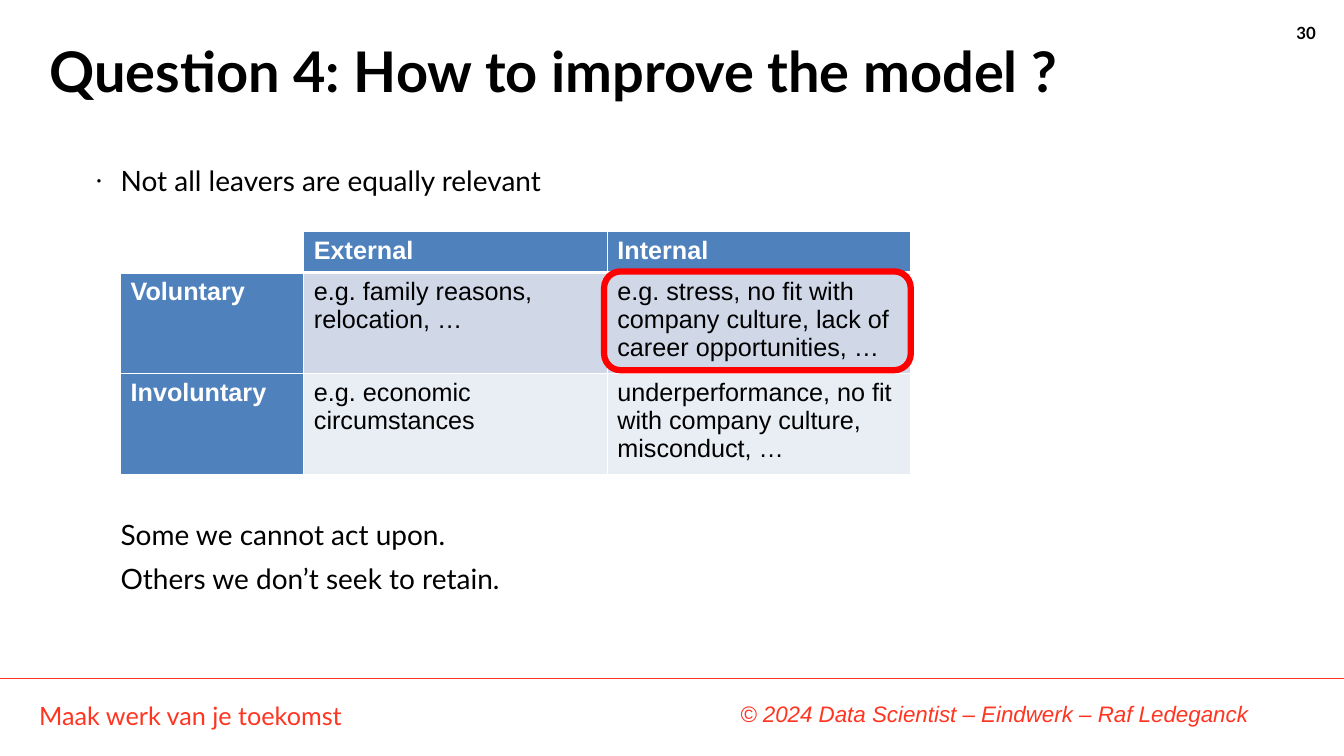
from dataclasses import dataclass

from lxml import etree
from pptx import Presentation
from pptx import util as u
from pptx.dml.color import RGBColor
from pptx.enum import shapes, text
from pptx.oxml import ns


@dataclass(frozen=True)
class Theme:
    heading_font: str = "Lato"
    table_font: str = "Arial"
    black: str = "000000"
    white: str = "FFFFFF"
    accent: str = "FF3521"
    highlight: str = "FF0000"
    header: str = "4F81BD"
    bands: tuple = ("D0D8E8", "E9EDF4")
    title_size: int = 40
    body_size: int = 20
    table_size: int = 18
    slogan_size: int = 18
    credit_size: int = 16
    number_size: int = 12


THEME = Theme()


@dataclass(frozen=True)
class Box:
    left: float
    top: float
    width: float
    height: float

    def lengths(self):
        return [u.Cm(value) for value in (self.left, self.top, self.width, self.height)]


def add_element(parent, tag, **attributes):
    element = etree.SubElement(parent, ns.qn(tag))
    for name, value in attributes.items():
        element.set(name, str(value))
    return element


def write(paragraph, words, size, font=THEME.heading_font, color=THEME.black,
          bold=False, italic=False, align=None, spacing=None, before=None):
    run = paragraph.add_run()
    run.text = words
    run.font.size = u.Pt(size)
    run.font.name = font
    run.font.bold = bold
    run.font.italic = italic
    run.font.color.rgb = RGBColor.from_string(color)
    paragraph.alignment = align
    paragraph.line_spacing = spacing
    if before is not None:
        paragraph.space_before = u.Pt(before)


def add_frame(slide, box):
    frame = slide.shapes.add_textbox(*box.lengths()).text_frame
    frame.word_wrap = True
    return frame


def add_label(slide, box, words, size, **style):
    write(add_frame(slide, box).paragraphs[0], words, size, **style)


def indent(paragraph, margin, hanging=0, bullet=None):
    properties = paragraph._p.get_or_add_pPr()
    properties.set("marL", str(u.Cm(margin)))
    properties.set("indent", str(-u.Cm(hanging)))
    if bullet is None:
        add_element(properties, "a:buNone")
        return
    color = add_element(properties, "a:buClr")
    add_element(color, "a:srgbClr", val=THEME.black)
    add_element(properties, "a:buSzPct", val=45000)
    add_element(properties, "a:buFont", typeface=THEME.table_font)
    add_element(properties, "a:buChar", char=bullet)


def add_body(slide, box):
    frame = add_frame(slide, box)
    statements = [
        ("Not all leavers are equally relevant", 10, 0.6, "•"),
        ("Some we cannot act upon.", 231, 0, None),
        ("Others we don’t seek to retain.", 10, 0, None),
    ]
    for index, (words, before, hanging, bullet) in enumerate(statements):
        paragraph = frame.add_paragraph() if index else frame.paragraphs[0]
        write(paragraph, words, THEME.body_size, spacing=0.9, before=before)
        indent(paragraph, 1.19, hanging, bullet)


def set_borders(cell, bottom):
    properties = cell._tc.get_or_add_tcPr()
    widths = {"a:lnL": 1, "a:lnR": 1, "a:lnT": 1, "a:lnB": bottom}
    for position, (tag, width) in enumerate(widths.items()):
        border = add_element(properties, tag, w=u.Pt(width))
        fill = add_element(border, "a:solidFill")
        add_element(fill, "a:srgbClr", val=THEME.white)
        properties.insert(position, border)


def add_leaver_table(slide, box):
    rows = [
        ("", "External", "Internal"),
        ("Voluntary", "e.g. family reasons, relocation, …",
         "e.g. stress, no fit with company culture, lack of career opportunities, …"),
        ("Involuntary", "e.g. economic circumstances",
         "underperformance, no fit with company culture, misconduct, …"),
    ]
    header_height, label_width = 1.04, 4.62
    row_height = (box.height - header_height) / 2
    column_width = (box.width - label_width) / 2
    table = slide.shapes.add_table(3, 3, *box.lengths()).table
    for column, width in zip(table.columns, (label_width, column_width, column_width)):
        column.width = u.Cm(width)
    for row, height in zip(table.rows, (header_height, row_height, row_height)):
        row.height = u.Cm(height)
    for row_index, row in enumerate(rows):
        for column_index, words in enumerate(row):
            cell = table.cell(row_index, column_index)
            is_header = row_index == 0 or column_index == 0
            if words:
                cell.fill.solid()
                color = THEME.header if is_header else THEME.bands[row_index - 1]
                cell.fill.fore_color.rgb = RGBColor.from_string(color)
                write(cell.text_frame.paragraphs[0], words, THEME.table_size,
                      font=THEME.table_font, bold=is_header,
                      color=THEME.white if is_header else THEME.black)
            else:
                cell.fill.background()
            set_borders(cell, bottom=1 if row_index else 3)
    add_highlight(slide, Box(box.left + label_width + column_width - 0.08,
                             box.top + header_height - 0.03,
                             column_width + 0.08, row_height - 0.05))


def add_highlight(slide, box):
    frame = slide.shapes.add_shape(shapes.MSO_SHAPE.ROUNDED_RECTANGLE, *box.lengths())
    frame.shadow.inherit = False
    frame.fill.background()
    frame.line.color.rgb = RGBColor.from_string(THEME.highlight)
    frame.line.width = u.Pt(4.5)


def add_footer(slide, box):
    rule = slide.shapes.add_connector(
        shapes.MSO_CONNECTOR.STRAIGHT, u.Cm(box.left), u.Cm(box.top),
        u.Cm(box.left + box.width), u.Cm(box.top))
    rule.line.color.rgb = RGBColor.from_string(THEME.accent)
    rule.line.width = u.Pt(0.75)
    add_element(rule._element.spPr, "a:effectLst")
    text_top = box.top + 0.43
    add_label(slide, Box(box.left + 0.74, text_top, 10, 1.02),
              "Maak werk van je toekomst", THEME.slogan_size, color=THEME.accent)
    add_label(slide, Box(box.left + 9.7, text_top, 22.02, 0.89),
              "© 2024 Data Scientist – Eindwerk – Raf Ledeganck", THEME.credit_size,
              font=THEME.table_font, color=THEME.accent, italic=True,
              align=text.PP_ALIGN.RIGHT)


def add_question_slide(presentation, box):
    slide = presentation.slides.add_slide(presentation.slide_layouts[6])
    add_footer(slide, Box(box.left, box.top + 17.09, box.width, box.height - 17.09))
    add_label(slide, Box(box.left + 32.18, box.top + 0.46, 1.24, 0.76), "30",
              THEME.number_size, bold=True, align=text.PP_ALIGN.RIGHT)
    add_label(slide, Box(box.left + 1, box.top + 1, 31.19, 3.68),
              "Question 4: How to improve the model ?", THEME.title_size,
              bold=True, spacing=0.9)
    add_body(slide, Box(box.left + 1.6, box.top + 4.09, 28.8, 11.94))
    add_leaver_table(slide, Box(box.left + 3.04, box.top + 5.83, 19.92, 6.12))


def main():
    presentation = Presentation()
    page = Box(0, 0, 33.88, 19.05)
    presentation.slide_width = u.Cm(page.width)
    presentation.slide_height = u.Cm(page.height)
    add_question_slide(presentation, page)
    presentation.save("out.pptx")


if __name__ == "__main__":
    main()
